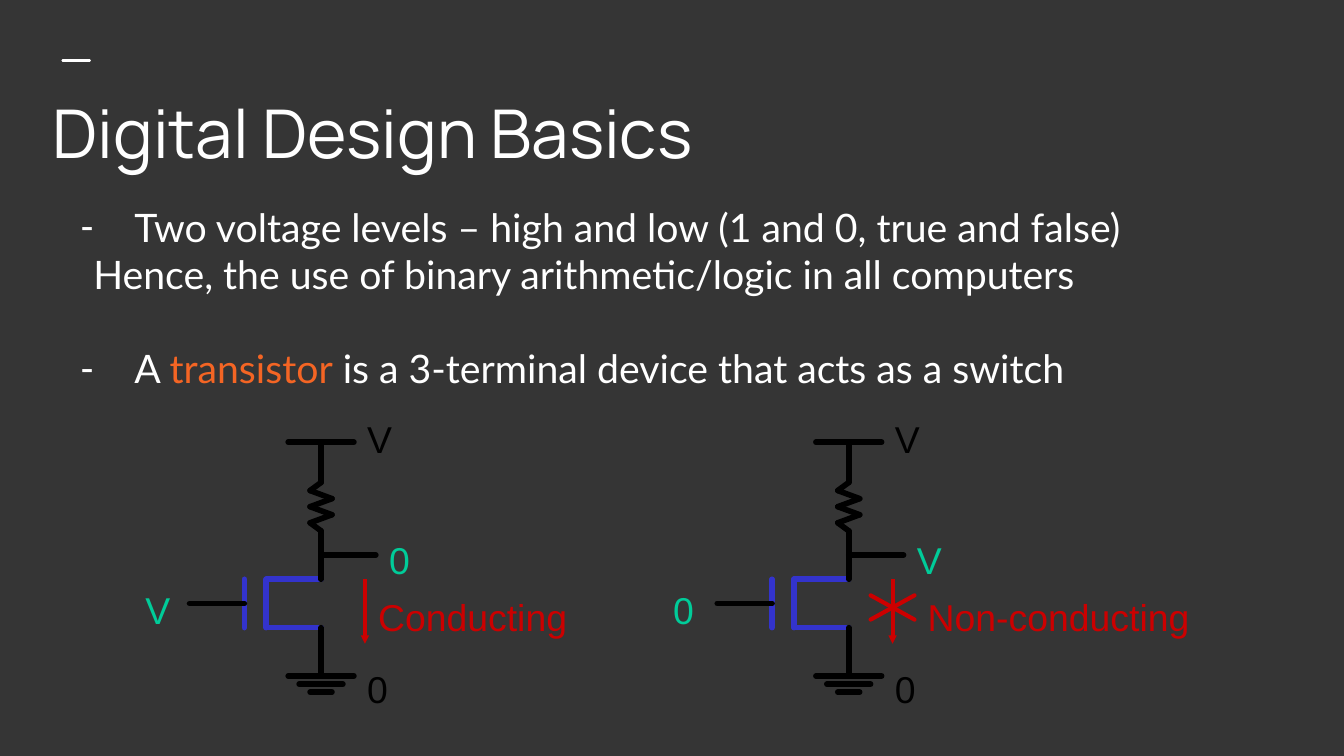
"""Build the slide on transistor switches, with one circuit per switch state."""
from itertools import pairwise

from lxml import etree
from pptx import Presentation
from pptx import util as u
from pptx.dml.color import RGBColor
from pptx.enum import shapes, text
from pptx.oxml import ns

BACKGROUND = RGBColor(0x35, 0x35, 0x35)
WHITE = RGBColor(0xFF, 0xFF, 0xFF)
BLACK = RGBColor(0x00, 0x00, 0x00)
ORANGE = RGBColor(0xF4, 0x65, 0x24)
BLUE = RGBColor(0x33, 0x33, 0xCC)
GREEN = RGBColor(0x00, 0xCC, 0x99)
RED = RGBColor(0xCC, 0x00, 0x00)

GRID_X, GRID_Y = 5.87, 4.32
CIRCUIT_TOP = 236.9

WIRES = [
    ((-3, 0), (3, 0)),
    ((0, 0), (0, 5)),
    ((0, 11), (0, 17)),
    ((0, 14), (5, 14)),
    ((-12, 20), (-7, 20)),
    ((0, 23), (0, 29)),
    *(((-half, y), (half, y)) for half, y in ((3, 29), (2, 30), (1, 31))),
]
RESISTOR = [(0, 5), *((-1 if y % 2 == 0 else 1, y) for y in range(6, 11)), (0, 11)]
CHANNEL = [(0, 17), (-5, 17), (-5, 23), (0, 23)]
GATE = [(-7, 17), (-7, 23)]
CURRENT = [(4, 17), (4, 25)]
CROSS = [((2, 19), (6, 22)), ((6, 19), (2, 22))]


def write(paragraph, content, *, font="Lato", size=21, color=WHITE):
    run = paragraph.add_run()
    run.text = content
    run.font.name = font
    run.font.size = u.Pt(size)
    run.font.color.rgb = color


def add_xml(parent, tag, **attributes):
    return etree.SubElement(parent, ns.qn(tag), attributes)


class SlideBuilder:
    def __init__(self, slide):
        self.slide = slide
        self.shapes = slide.shapes
        self.origin = 0
        slide.background.fill.solid()
        slide.background.fill.fore_color.rgb = BACKGROUND

    def frame(self, shape, box, inset, anchor):
        shape.left, shape.top, shape.width, shape.height = map(u.Pt, box)
        frame = shape.text_frame
        frame.word_wrap = True
        frame.auto_size = text.MSO_AUTO_SIZE.NONE
        frame.vertical_anchor = anchor
        frame.margin_left = frame.margin_right = u.Pt(7.2)
        frame.margin_top = frame.margin_bottom = u.Pt(inset)
        return frame

    def title(self, content, box):
        frame = self.frame(self.slide.shapes.title, box, 7.2, text.MSO_ANCHOR.MIDDLE)
        paragraph = frame.paragraphs[0]
        paragraph.alignment = text.PP_ALIGN.LEFT
        paragraph.space_after = u.Pt(10)
        write(paragraph, content, font="Manrope", size=36)

    def body(self, items, box):
        frame = self.frame(self.slide.placeholders[1], box, 7.2, text.MSO_ANCHOR.TOP)
        for index, (bullet, gap, runs) in enumerate(items):
            paragraph = frame.add_paragraph() if index else frame.paragraphs[0]
            paragraph.alignment = text.PP_ALIGN.LEFT
            paragraph.space_before = u.Pt(gap)
            properties = paragraph._p.get_or_add_pPr()
            properties.set("marL", str(u.Pt(36 if bullet else 14)))
            properties.set("indent", str(u.Pt(-28.8 if bullet else 0)))
            if bullet:
                color = add_xml(properties, "a:buClr")
                add_xml(color, "a:srgbClr", val=str(WHITE))
                add_xml(properties, "a:buChar", char=bullet)
            else:
                add_xml(properties, "a:buNone")
            for content, color in runs:
                write(paragraph, content, color=color)

    def line(self, start, end, color, width, arrow=False):
        connector = self.shapes.add_connector(
            shapes.MSO_CONNECTOR.STRAIGHT, *map(u.Pt, (*start, *end)))
        connector.line.color.rgb = color
        connector.line.width = u.Pt(width)
        outline = connector.line._get_or_add_ln()
        outline.set("cap", "flat" if arrow else "rnd")
        if arrow:
            add_xml(outline, "a:tailEnd", type="triangle", w="sm", len="sm")
        add_xml(connector._element.spPr, "a:effectLst")

    def place(self, point):
        return self.origin + point[0] * GRID_X, CIRCUIT_TOP + point[1] * GRID_Y

    def path_lines(self, points, color, width=3, arrow=False):
        for start, end in pairwise(map(self.place, points)):
            self.line(start, end, color, width, arrow)

    def label(self, content, point, color, width=27):
        box = (*self.place(point), width, 22.3)
        shape = self.shapes.add_textbox(*map(u.Pt, box))
        frame = self.frame(shape, box, 3.6, text.MSO_ANCHOR.TOP)
        write(frame.paragraphs[0], content, font="Arial", size=20, color=color)

    def circuit(self, origin, gate, output, state, conducting):
        self.origin = origin
        self.shapes = self.slide.shapes.add_group_shape().shapes
        for points in (CHANNEL, GATE):
            self.path_lines(points, BLUE)
        for points in (*WIRES, RESISTOR):
            self.path_lines(points, BLACK)
        self.path_lines(CURRENT, RED, 2.25, arrow=True)
        if not conducting:
            for points in CROSS:
                self.path_lines(points, RED, 2.25)
        self.label("V", (3, -4), BLACK)
        self.label("0", (3, 27), BLACK)
        self.label(gate, (-17.25, 17.2), GREEN)
        self.label(output, (5, 11), GREEN)
        self.label(state, (4 if conducting else 6, 18), RED, 124 if conducting else 159)
        self.shapes = self.slide.shapes


def main():
    presentation = Presentation()
    presentation.slide_width, presentation.slide_height = u.Pt(720), u.Pt(405)
    slide = presentation.slides.add_slide(presentation.slide_layouts[1])
    builder = SlideBuilder(slide)
    builder.line((33.6, 32.4), (48, 32.4), WHITE, 1.5)
    builder.title("Digital Design Basics", (21, 42.5, 679, 56))
    builder.body([
        ("-", 0, [("Two voltage levels – high and low (1 and 0, true and false)", WHITE)]),
        (None, 0, [("Hence, the use of binary arithmetic/logic in all computers", WHITE)]),
        ("-", 25.2, [("A ", WHITE), ("transistor", ORANGE),
                     (" is a 3-terminal device that acts as a switch", WHITE)]),
    ], (28.8, 101.5, 660, 116.6))
    builder.circuit(172, "V", "0", "Conducting", conducting=True)
    builder.circuit(454.7, "0", "V", "Non-conducting", conducting=False)
    presentation.save("out.pptx")


if __name__ == "__main__":
    main()
